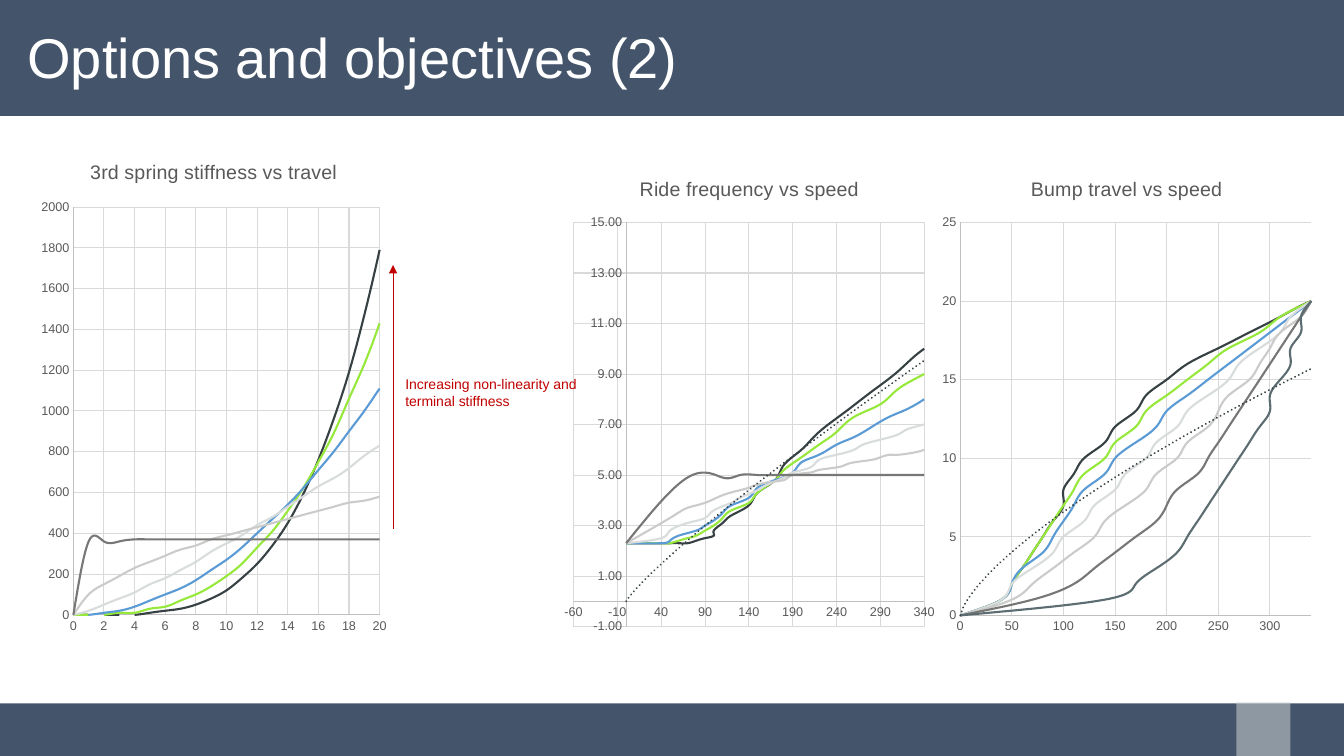
import math

import pptx
import pptx.chart.data
import pptx.dml.color
import pptx.enum.chart
import pptx.enum.shapes
import pptx.enum.text
import pptx.oxml
import pptx.oxml.ns
import pptx.util

Pt = pptx.util.Pt
RGBColor = pptx.dml.color.RGBColor

WHITE = RGBColor(0xFF, 0xFF, 0xFF)
NAVY = RGBColor(0x44, 0x54, 0x6A)
PALE = RGBColor(0xD9, 0xDC, 0xDC)
RED = RGBColor(0xC0, 0x00, 0x00)
LABEL_GREY = RGBColor(0x59, 0x59, 0x59)
AXIS_GREY = RGBColor(0xBF, 0xBF, 0xBF)
GRID_GREY = RGBColor(0xD9, 0xD9, 0xD9)

# Curve colour by ride frequency (Hz) at full travel
CURVE_COLORS = {
    4: RGBColor(0x5C, 0x6D, 0x72),
    5: RGBColor(0x77, 0x77, 0x75),
    6: RGBColor(0xCB, 0xCC, 0xCA),
    7: PALE,
    8: RGBColor(0x5B, 0x9B, 0xD5),
    9: RGBColor(0x96, 0xE9, 0x3A),
    10: RGBColor(0x37, 0x41, 0x44),
}
FULL_TRAVEL = 20
TOP_SPEED = 340
BASE_LOAD = 2.3 ** 2  # square of the static ride frequency
SPRING_LOAD = 389.35  # load of the 3rd spring at full travel, same for all
STIFFNESS_PER_HZ2 = 18.9
NAMESPACES = pptx.oxml.ns.nsdecls("c", "a")


def operating_point(terminal, travel):
    """Spring state at a travel, for a power-law spring and square-law downforce."""
    share = travel / FULL_TRAVEL
    rise = terminal ** 2 - BASE_LOAD
    power = FULL_TRAVEL * rise / SPRING_LOAD
    load = BASE_LOAD * travel + SPRING_LOAD * share ** power
    full_load = BASE_LOAD * FULL_TRAVEL + SPRING_LOAD
    spring_hz2 = rise * share ** (power - 1) if travel else 0
    return {
        "travel": travel,
        "stiffness": round(STIFFNESS_PER_HZ2 * spring_hz2, -1),
        "frequency": round(math.sqrt(BASE_LOAD + spring_hz2), 1),
        "speed": round(TOP_SPEED * math.sqrt(load / full_load), -1),
    }


def set_font(font, size, color):
    font.name = "Arial"
    font.size = Pt(size)
    font.color.rgb = color


def set_layout(parent, index, box, at, size=None):
    """Place a chart part at slide coordinates, as fractions of the chart box."""
    for old in parent.findall(pptx.oxml.ns.qn("c:layout")):
        parent.remove(old)
    left, top, width, height = box
    values = {"x": (at[0] - left) / width, "y": (at[1] - top) / height}
    target = ""
    if size:
        values.update(w=size[0] / width, h=size[1] / height)
        target = '<c:layoutTarget val="inner"/>'
    numbers = "".join(f'<c:{key} val="{value:.4f}"/>' for key, value in values.items())
    parent.insert(index, pptx.oxml.parse_xml(
        f'<c:layout {NAMESPACES}><c:manualLayout>{target}<c:xMode val="edge"/>'
        f'<c:yMode val="edge"/>{numbers}</c:manualLayout></c:layout>'))


def style_axis(axis, limits, number_format):
    axis.minimum_scale, axis.maximum_scale, axis.major_unit = limits
    axis.major_tick_mark = axis.minor_tick_mark = pptx.enum.chart.XL_TICK_MARK.NONE
    axis.has_major_gridlines = True
    for part, color in ((axis, AXIS_GREY), (axis.major_gridlines, GRID_GREY)):
        part.format.line.color.rgb = color
        part.format.line.width = Pt(0.75)
    axis.tick_labels.number_format = number_format
    axis.tick_labels.number_format_is_linked = False
    set_font(axis.tick_labels.font, 9, LABEL_GREY)


def add_power_trend(series_xml, color):
    series_xml.find(pptx.oxml.ns.qn("c:xVal")).addprevious(pptx.oxml.parse_xml(
        f'<c:trendline {NAMESPACES}><c:spPr><a:ln w="{Pt(1.5)}" cap="rnd"><a:solidFill>'
        f'<a:srgbClr val="{color}"/></a:solidFill><a:prstDash val="sysDot"/></a:ln></c:spPr>'
        '<c:trendlineType val="power"/><c:dispRSqr val="0"/><c:dispEq val="0"/>'
        "</c:trendline>"))


def add_curves(page, box, title, title_at, plot_box, terminals, x_name, y_name,
               x_limits, y_limits, y_format="0", trend=False):
    data = pptx.chart.data.XyChartData()
    for number, terminal in enumerate(terminals, 1):
        series = data.add_series(f"Series {number}")
        for travel in range(46):
            point = operating_point(terminal, travel)
            series.add_data_point(point[x_name], point[y_name])
    chart = page.shapes.add_chart(
        pptx.enum.chart.XL_CHART_TYPE.XY_SCATTER_SMOOTH_NO_MARKERS,
        *map(Pt, box), data).chart
    chart.font.name = "Arial"
    chart.font.size = Pt(10)
    chart.has_legend = False
    chart.has_title = True
    para = chart.chart_title.text_frame.paragraphs[0]
    para.text = title
    para.font.bold = False
    set_font(para.font, 14, LABEL_GREY)
    set_layout(chart.chart_title.element, 1, box, title_at)
    set_layout(chart.element.xpath(".//c:plotArea")[0], 0, box, plot_box[:2], plot_box[2:])
    style_axis(chart.category_axis, x_limits, "0")
    style_axis(chart.value_axis, y_limits, y_format)
    plot = chart.plots[0]
    plot.vary_by_categories = False
    for series, terminal in zip(plot.series, terminals):
        series.format.line.color.rgb = CURVE_COLORS[terminal]
        series.format.line.width = Pt(1.5)
        series.marker.style = pptx.enum.chart.XL_MARKER_STYLE.NONE
    for smooth in chart.element.xpath(".//c:ser/c:smooth"):
        smooth.set("val", "1")
    if trend:
        add_power_trend(chart.element.xpath(".//c:ser")[-1], CURVE_COLORS[terminals[-1]])


def add_band(page, box, color, opacity=100):
    band = page.shapes.add_shape(pptx.enum.shapes.MSO_SHAPE.RECTANGLE, *map(Pt, box))
    band.shadow.inherit = False
    band.fill.solid()
    band.fill.fore_color.rgb = color
    band.line.fill.background()
    if opacity < 100:
        band.element.xpath("./p:spPr/a:solidFill/a:srgbClr")[0].append(
            pptx.oxml.parse_xml(f'<a:alpha {NAMESPACES} val="{opacity * 1000}"/>'))


def add_heading(page, box, text):
    title = page.shapes.title
    title.element.getparent().append(title.element)
    title.left, title.top, title.width, title.height = map(Pt, box)
    frame = title.text_frame
    frame.auto_size = pptx.enum.text.MSO_AUTO_SIZE.NONE
    frame.vertical_anchor = pptx.enum.text.MSO_ANCHOR.MIDDLE
    frame.margin_left, frame.margin_top = Pt(19.6), Pt(5.8)
    frame.margin_right, frame.margin_bottom = Pt(7.2), Pt(2.9)
    para = frame.paragraphs[0]
    para.text = text
    para.alignment = pptx.enum.text.PP_ALIGN.LEFT
    para.line_spacing = 0.9
    set_font(para.font, 40, WHITE)


def add_trend_note(page, box, lines):
    """Red note with an upward arrow along its left side."""
    left, top, width, height = box
    note = page.shapes.add_textbox(Pt(left + 1.6), Pt(top + 75.2), Pt(width), Pt(31.7))
    frame = note.text_frame
    frame.word_wrap = False
    frame.auto_size = pptx.enum.text.MSO_AUTO_SIZE.SHAPE_TO_FIT_TEXT
    frame.text = "\n".join(lines)
    for para in frame.paragraphs:
        set_font(para.font, 10, RED)
    arrow = page.shapes.add_connector(pptx.enum.shapes.MSO_CONNECTOR.STRAIGHT,
                                      Pt(left), Pt(top + height), Pt(left), Pt(top))
    arrow.line.color.rgb = RED
    arrow.line.width = Pt(0.5)
    arrow.element.xpath("./p:spPr/a:ln")[0].append(
        pptx.oxml.parse_xml(f'<a:tailEnd {NAMESPACES} type="triangle"/>'))
    arrow.element.spPr.append(pptx.oxml.parse_xml(f"<a:effectLst {NAMESPACES}/>"))


def main():
    deck = pptx.Presentation()
    deck.slide_width, deck.slide_height = Pt(960), Pt(540)
    page = deck.slides.add_slide(deck.slide_layouts[5])
    add_band(page, (0, 0, 960, 82.8), NAVY)
    add_band(page, (-2, 502.4, 962, 39.6), NAVY)
    add_band(page, (883.2, 501.4, 38.6, 38.6), PALE, opacity=50)
    add_heading(page, (0, 0, 963, 82.8), "Options and objectives (2)")
    add_curves(page, (398.2, 113, 275, 346.3), "Ride frequency vs speed", (454.4, 123.4),
               (409.7, 159, 250.5, 288.7), range(5, 11), "speed", "frequency",
               (-60, TOP_SPEED, 50), (-1, 15, 2), y_format="0.00", trend=True)
    add_curves(page, (24.5, 100, 256.3, 359.3), "3rd spring stiffness vs travel",
               (61.9, 111.4), (52.4, 148, 218.8, 291.3), range(5, 11), "travel", "stiffness",
               (0, FULL_TRAVEL, 2), (0, 2000, 200))
    add_trend_note(page, (280.8, 189.3, 140.4, 188.7),
                   ("Increasing non-linearity and", "terminal stiffness"))
    add_curves(page, (667.4, 113, 275, 346.3), "Bump travel vs speed", (733.8, 123.4),
               (685.9, 159, 250.8, 280.7), range(4, 11), "speed", "travel",
               (0, TOP_SPEED, 50), (0, 25, 5), trend=True)
    deck.save("out.pptx")


if __name__ == "__main__":
    main()
